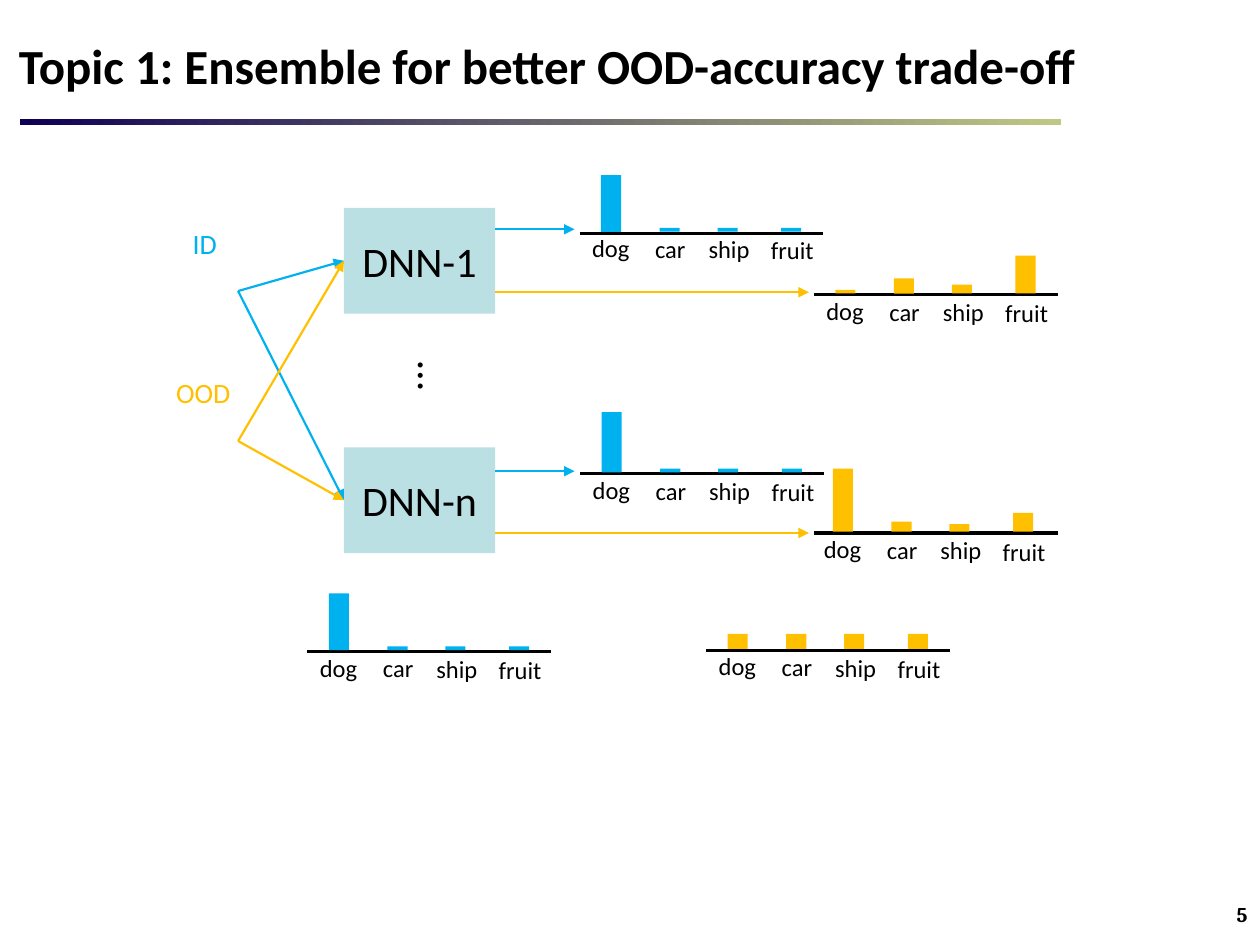
from dataclasses import dataclass

from lxml.etree import SubElement
from pptx import Presentation
from pptx.dml.color import RGBColor
from pptx.enum.shapes import MSO_CONNECTOR as Connector, MSO_SHAPE as Preset
from pptx.enum.text import MSO_ANCHOR as Anchor, MSO_AUTO_SIZE as AutoSize, PP_ALIGN as Align
from pptx.oxml.ns import qn
from pptx.util import Inches, Pt


@dataclass(frozen=True)
class Theme:
    """Colours, fonts and type sizes of the slide."""
    ink: str = "000000"
    inside: str = "00B1F0"
    outside: str = "FFC000"
    network: str = "BBE0E3"
    rule_start: str = "0F0055"
    rule_end: str = "BFC883"
    font: str = "Calibri"
    number_font: str = "Cambria"
    title: int = 28
    network_name: int = 24
    source: int = 16
    category: int = 14
    number: int = 12
    axis: float = 1.75
    arrow: float = 1.25


THEME = Theme()
COLUMNS, ROWS = 100, 75
WIDTH, HEIGHT = Inches(10), Inches(7.5)
CATEGORIES = ("dog", "car", "ship", "fruit")
LABEL_COLUMNS, LABEL_WIDTHS = (0, 5, 9.25, 14.2), (5.1, 5.1, 5.6, 5.6)
LABEL_DROPS = (0, 0.05, 0.1, 0.2)
BAR_COLUMNS, BAR_WIDTH = (1.7, 6.35, 10.95, 16), 1.6
AXIS_LENGTH = 19.35


def grid(*cells):
    """Turn alternating column and row positions into slide lengths."""
    steps = (WIDTH / COLUMNS, HEIGHT / ROWS)
    return [round(cell * steps[i % 2]) for i, cell in enumerate(cells)]


def apply(target, **values):
    """Set each named format value on the target."""
    for name, value in values.items():
        setattr(target, name, value)


def style_font(font, size, color=THEME.ink, face=THEME.font, bold=False):
    """Format a font with the theme."""
    apply(font, name=face, size=Pt(size), bold=bold)
    font.color.rgb = RGBColor.from_string(color)


def add_text(slide, area, wording, size, color=THEME.ink, rotation=0):
    """Add a line of text in its own box."""
    box = slide.shapes.add_textbox(*grid(*area))
    box.rotation = rotation
    box.text_frame.word_wrap = True
    line = box.text_frame.paragraphs[0]
    line.text = wording
    style_font(line.font, size, color)


def add_block(slide, area, color):
    """Add a plain filled rectangle."""
    block = slide.shapes.add_shape(Preset.RECTANGLE, *grid(*area))
    block.shadow.inherit = False
    block.fill.solid()
    block.fill.fore_color.rgb = RGBColor.from_string(color)
    block.line.fill.background()
    return block


def add_line(slide, start, end, color, weight, arrow=False):
    """Add a straight line, with an arrowhead if wanted."""
    line = slide.shapes.add_connector(Connector.STRAIGHT, *grid(*start, *end))
    line.line.color.rgb = RGBColor.from_string(color)
    line.line.width = Pt(weight)
    properties = line.element.spPr
    if arrow:
        SubElement(properties.find(qn("a:ln")), qn("a:tailEnd"), type="triangle")
    SubElement(properties, qn("a:effectLst"))


def add_network(slide, area, name):
    """Add a named network box."""
    network = add_block(slide, area, THEME.network)
    apply(network.text_frame, vertical_anchor=Anchor.MIDDLE, word_wrap=True)
    line = network.text_frame.paragraphs[0]
    apply(line, text=name, alignment=Align.CENTER)
    style_font(line.font, THEME.network_name)


def add_distribution(slide, left, base, heights, color, lift=0.4, axis_shift=0):
    """Add a small drawn distribution over the four categories."""
    axis_left = left + axis_shift
    add_line(slide, (axis_left, base), (axis_left + AXIS_LENGTH, base), THEME.ink, THEME.axis)
    for column, height in zip(BAR_COLUMNS, heights):
        add_block(slide, (left + column, base - 0.1 - height, BAR_WIDTH, height), color)
    for name, column, width, drop in zip(CATEGORIES, LABEL_COLUMNS, LABEL_WIDTHS, LABEL_DROPS):
        add_text(slide, (left + column, base - lift + drop, width, 3.4), name, THEME.category)


def add_heading(slide, wording):
    """Place the title and the gradient rule below it."""
    title = slide.shapes.title
    apply(title, **dict(zip(("left", "top", "width", "height"), grid(0.5, 2, 87.7, 6.3))))
    apply(title.text_frame, text=wording, auto_size=AutoSize.NONE,
          word_wrap=True, vertical_anchor=Anchor.MIDDLE)
    line = title.text_frame.paragraphs[0]
    line.alignment = Align.LEFT
    style_font(line.font, THEME.title, bold=True)
    rule = add_block(slide, (1.6, 9.45, 82.6, 0.5), THEME.rule_start)
    rule.fill.gradient()
    rule.fill.gradient_angle = 0
    for stop, color in zip(rule.fill.gradient_stops, (THEME.rule_start, THEME.rule_end)):
        stop.color.rgb = RGBColor.from_string(color)


def add_page_number(slide, number):
    """Add the page number at the lower right."""
    box = slide.shapes.add_textbox(*grid(83.1, 71.1, 16.9, 3))
    box.text_frame.word_wrap = True
    line = box.text_frame.paragraphs[0]
    apply(line, text=str(number), alignment=Align.RIGHT)
    style_font(line.font, THEME.number, face=THEME.number_font, bold=True)


def add_ensemble(slide):
    """Add the two inputs, the networks and the arrows between them."""
    box_left, box_width, box_height = 27.3, 12, 8.4
    networks = (("DNN-1", 16.5), ("DNN-n", 35.5))
    for name, top in networks:
        add_network(slide, (box_left, top, box_width, box_height), name)
    add_text(slide, (32.9, 26.8, 3.2, 5), "…", THEME.network_name, rotation=90)
    sources = (("ID", 14.3, 17.5, 23.1, THEME.inside), ("OOD", 13, 29.3, 35, THEME.outside))
    for name, left, top, origin, color in sources:
        add_text(slide, (left, top, 6.5, 3.7), name, THEME.source, color)
        for _, network_top in networks:
            add_line(slide, (18.9, origin), (box_left, network_top + box_height / 2),
                     color, THEME.arrow, arrow=True)
    outputs = ((18.2, 45.6, THEME.inside), (23.2, 64.2, THEME.outside),
               (37.4, 45.6, THEME.inside), (42.3, 64.2, THEME.outside))
    for row, tip, color in outputs:
        add_line(slide, (box_left + box_width, row), (tip, row), color, THEME.arrow, arrow=True)


def main():
    """Build the slide and save it."""
    deck = Presentation()
    apply(deck, slide_width=WIDTH, slide_height=HEIGHT)
    slide = deck.slides.add_slide(deck.slide_layouts[5])
    add_heading(slide, "Topic 1: Ensemble for better OOD-accuracy trade-off")
    add_ensemble(slide)
    confident = (4.5, 0.3, 0.3, 0.3)
    add_distribution(slide, 46, 18.5, confident, THEME.inside, lift=0.5)
    add_distribution(slide, 46.05, 37.6, (4.8, 0.3, 0.3, 0.3), THEME.inside)
    add_distribution(slide, 64.6, 23.4, (0.3, 1.2, 0.7, 3), THEME.outside)
    add_distribution(slide, 64.4, 42.3, (5, 0.8, 0.6, 1.5), THEME.outside, axis_shift=0.2)
    add_distribution(slide, 24.4, 51.7, confident, THEME.inside)
    add_distribution(slide, 56.05, 51.6, (1.2,) * len(CATEGORIES), THEME.outside)
    add_page_number(slide, 5)
    deck.save("out.pptx")


if __name__ == "__main__":
    main()
